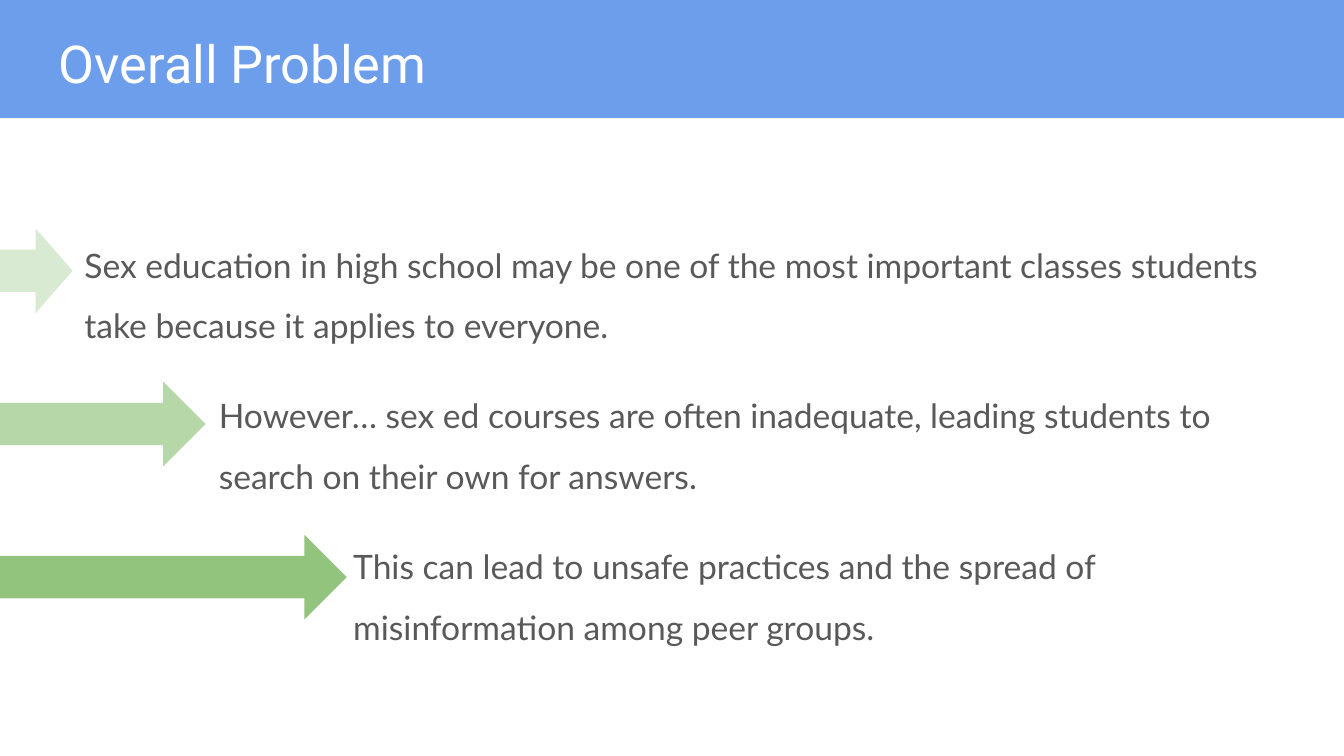
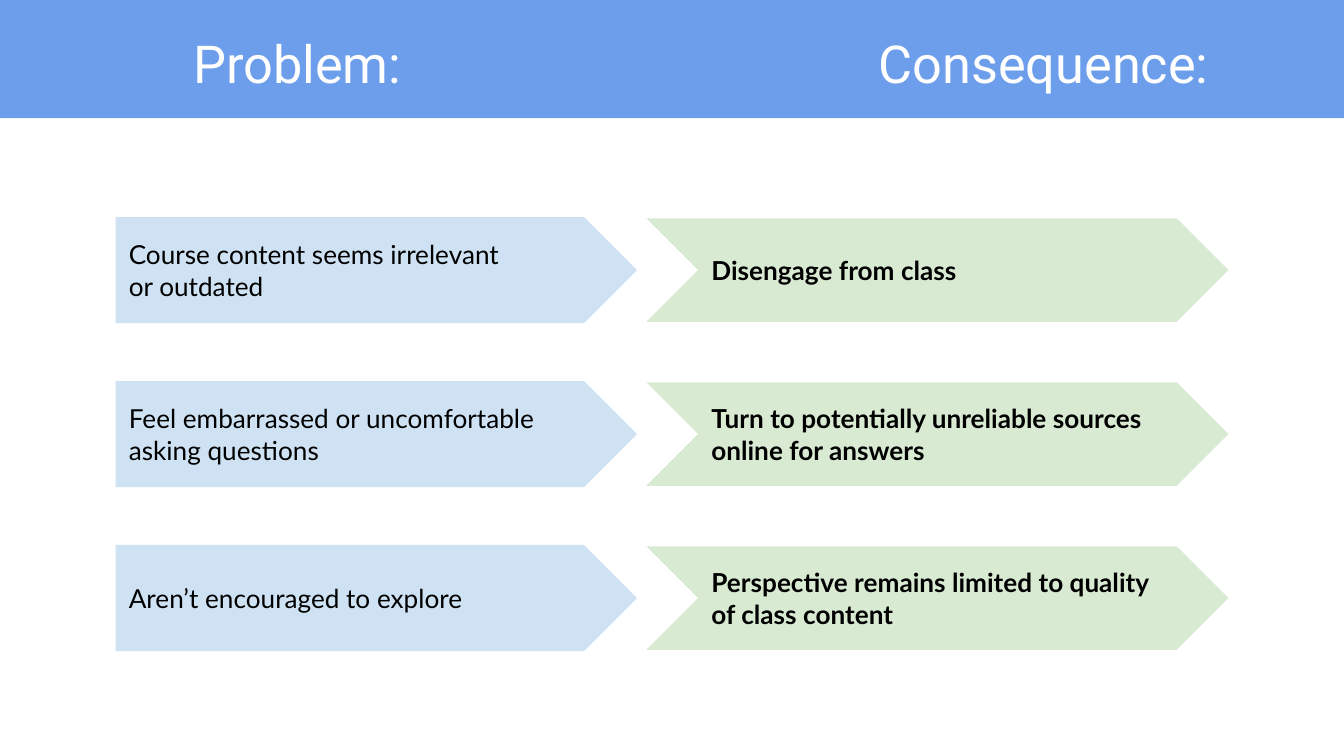
from lxml import etree
from pptx import Presentation
from pptx.dml.color import RGBColor
from pptx.enum.shapes import MSO_SHAPE
from pptx.enum.text import MSO_ANCHOR, PP_ALIGN
from pptx.oxml.ns import qn
from pptx.util import Inches, Pt

RECTANGLE, ARROW = MSO_SHAPE.RECTANGLE, MSO_SHAPE.RIGHT_ARROW
PENTAGON, CHEVRON = MSO_SHAPE.PENTAGON, MSO_SHAPE.CHEVRON
TOP, MIDDLE, LEFT = MSO_ANCHOR.TOP, MSO_ANCHOR.MIDDLE, PP_ALIGN.LEFT

WIDTH = 10
HEIGHT = WIDTH * 9 / 16
BLUE, PALE_BLUE, PALE_GREEN = "6D9EEB", "CFE2F3", "D9EAD3"
WHITE, GREY, BLACK = "FFFFFF", "595959", "000000"
TITLE_FONT, BODY_FONT = "Roboto", "Lato"
INSET = 0.1

# Statement, arrow left, arrow width, arrow colour
STATEMENTS = [
    ("Sex education in high school may be one of the most important classes "
     "students take because it applies to everyone.", -0.01, 0.55, PALE_GREEN),
    ("However… sex ed courses are often inadequate, leading students to "
     "search on their own for answers.", 0, 1.53, "B6D7A8"),
    ("This can lead to unsafe practices and the spread of misinformation "
     "among peer groups.", -0.01, 2.59, "93C47D"),
]
ARROW_TOP, ARROW_PITCH, ARROW_HEIGHT = 1.7, 1.14, 0.63

HEADINGS = ["Problem:", "Consequence:"]
HEADING_TABS = [1, 6.1]
PAIRS = [
    ("Course content seems irrelevant\nor outdated", "Disengage from class"),
    ("Feel embarrassed or uncomfortable asking questions",
     "Turn to potentially unreliable sources online for answers"),
    ("Aren’t encouraged to explore",
     "Perspective remains limited to quality of class content"),
]
# Shape, left, width, height, colour, bold
COLUMNS = [
    (PENTAGON, 0.86, 3.88, 0.79, PALE_BLUE, False),
    (CHEVRON, 4.81, 4.33, 0.77, PALE_GREEN, True),
]
ROW_CENTRE, ROW_PITCH = 2.01, 1.22


def rgb(colour):
    return RGBColor.from_string(colour)


def add_block(slide, kind, left, top, width, height, colour):
    block = slide.shapes.add_shape(
        kind, Inches(left), Inches(top), Inches(width), Inches(height))
    block.shadow.inherit = False
    block.fill.solid()
    block.fill.fore_color.rgb = rgb(colour)
    block.line.fill.background()
    return block


def add_box(slide, left, top, width, height):
    return slide.shapes.add_textbox(
        Inches(left), Inches(top), Inches(width), Inches(height)).text_frame


def write(frame, text, font, size, colour, bold=False, anchor=TOP):
    """Fill a frame, one left-aligned paragraph per line of text."""
    frame.word_wrap = True
    frame.vertical_anchor = anchor
    frame.margin_left = frame.margin_right = Inches(INSET)
    frame.margin_top = frame.margin_bottom = Inches(INSET)
    frame.text = text
    for paragraph in frame.paragraphs:
        paragraph.alignment = LEFT
        paragraph.font.name = font
        paragraph.font.size = Pt(size)
        paragraph.font.bold = bold
        paragraph.font.color.rgb = rgb(colour)


def set_tabs(paragraph, positions):
    properties = paragraph._p.get_or_add_pPr()
    tabs = etree.Element(qn("a:tabLst"))
    for position in positions:
        etree.SubElement(tabs, qn("a:tab"), pos=str(Inches(position)), algn="l")
    properties.insert(0, tabs)


def add_titled_slide(deck, title, tabs=()):
    slide = deck.slides.add_slide(deck.slide_layouts[6])
    add_block(slide, RECTANGLE, -0.01, 0, WIDTH + 0.02, 0.88, BLUE)
    frame = add_box(slide, 0.34, 0.13, 9.32, 0.63)
    write(frame, title, TITLE_FONT, 28, WHITE)
    if tabs:
        set_tabs(frame.paragraphs[0], tabs)
    return slide


def build_overall_problem(deck):
    slide = add_titled_slide(deck, "Overall Problem")
    frame = add_box(slide, 0.53, 1.57, 9.32, 3.34)
    write(frame, "\n".join(row[0] for row in STATEMENTS), BODY_FONT, 18, GREY)
    for step, paragraph in enumerate(frame.paragraphs):
        paragraph._p.get_or_add_pPr().set("marL", str(Inches(step)))
        paragraph.line_spacing = 1.5
        if step:
            paragraph.space_before = Pt(16)
    for step, (_, left, width, colour) in enumerate(STATEMENTS):
        add_block(slide, ARROW, left, ARROW_TOP + step * ARROW_PITCH,
                  width, ARROW_HEIGHT, colour)


def build_consequences(deck):
    title = "".join("\t" + heading for heading in HEADINGS)
    slide = add_titled_slide(deck, title, HEADING_TABS)
    for row, pair in enumerate(PAIRS):
        centre = ROW_CENTRE + row * ROW_PITCH
        for text, (kind, left, width, height, colour, bold) in zip(pair, COLUMNS):
            block = add_block(slide, kind, left, centre - height / 2,
                              width, height, colour)
            write(block.text_frame, text, BODY_FONT, 14, BLACK, bold, MIDDLE)


def main():
    deck = Presentation()
    deck.slide_width, deck.slide_height = Inches(WIDTH), Inches(HEIGHT)
    build_overall_problem(deck)
    build_consequences(deck)
    deck.save("out.pptx")


if __name__ == "__main__":
    main()
